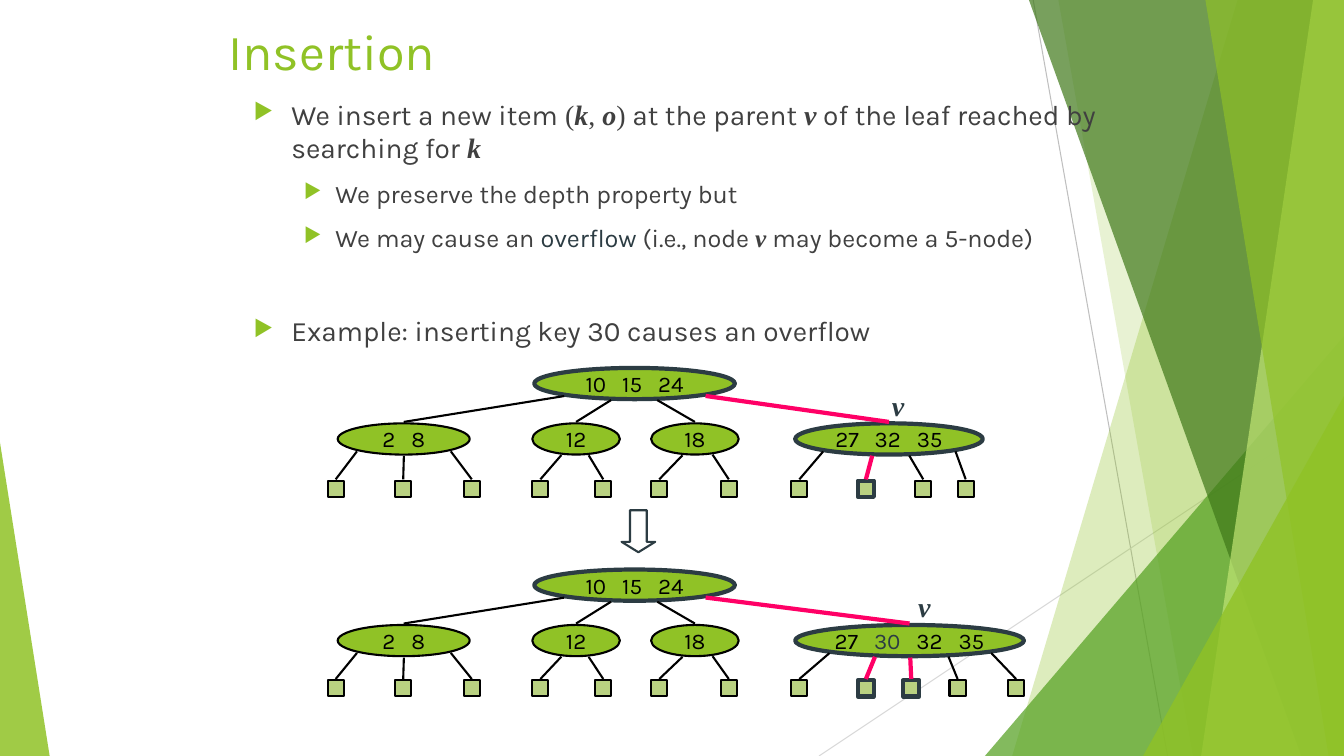
import math
import pptx
import pptx.util
import pptx.dml.color
import pptx.enum.shapes
import pptx.enum.text
import pptx.oxml.ns
import lxml.etree

Pt = pptx.util.Pt
RGB = pptx.dml.color.RGBColor
KIND = pptx.enum.shapes.MSO_SHAPE
ALIGN = pptx.enum.text.PP_ALIGN
MIDDLE = pptx.enum.text.MSO_ANCHOR.MIDDLE
qn = pptx.oxml.ns.qn

GREEN = RGB(0x90, 0xC2, 0x26)
LEAF = RGB(0xB9, 0xD1, 0x81)
MID = RGB(0x54, 0xA0, 0x21)
DEEP = RGB(0x3F, 0x78, 0x19)
LIME = RGB(0xC0, 0xE4, 0x74)
DARK = RGB(0x2C, 0x3C, 0x43)
GRAY = RGB(0x40, 0x40, 0x40)
SILVER = RGB(0xBF, 0xBF, 0xBF)
PALE = RGB(0xD9, 0xD9, 0xD9)
BLACK = RGB(0, 0, 0)
PINK = RGB(0xFF, 0x00, 0x66)

TIMES = {"font": "Times New Roman"}
MATH = {"font": "Times New Roman", "bold": True, "italic": True}


def write(para, text, size=16, color=BLACK, font="Karla", bold=False,
          italic=False, track=0):
    run = para.add_run()
    run.text = text
    face = run.font
    face.size, face.name, face.bold, face.italic = Pt(size), font, bold, italic
    face.color.rgb = color
    if track:
        run._r.get_or_add_rPr().set("spc", str(track))


def textbox(slide, box, wrap=True):
    frame = slide.shapes.add_textbox(*map(Pt, box)).text_frame
    frame.word_wrap = wrap
    return frame


def paint(shape, fill=None, line=None, width=1.5, alpha=None):
    shape.shadow.inherit = False
    if fill is None:
        shape.fill.background()
    else:
        shape.fill.solid()
        shape.fill.fore_color.rgb = fill
    if alpha:
        tint = shape._element.spPr.find(qn("a:solidFill"))[0]
        lxml.etree.SubElement(tint, qn("a:alpha"), val=str(alpha * 1000))
    if line is None:
        shape.line.fill.background()
    else:
        shape.line.color.rgb = line
        shape.line.width = Pt(width)
    return shape


def draw(slide, kind, box, **look):
    return paint(slide.shapes.add_shape(kind, *map(Pt, box)), **look)


def link(slide, start, end, color=BLACK, width=1.5):
    edge = slide.shapes.add_connector(
        pptx.enum.shapes.MSO_CONNECTOR.STRAIGHT, *map(Pt, (*start, *end)))
    edge.line.color.rgb = color
    edge.line.width = Pt(width)
    lxml.etree.SubElement(edge._element.spPr, qn("a:effectLst"))


# Backdrop: translucent bands on the right, a wedge on the left
def backdrop(slide, box):
    left, top, wide, high = box
    right, base = left + wide, top + high

    def band(head, foot, fill, alpha):
        pen = slide.shapes.build_freeform(Pt(left + head), Pt(top))
        pen.add_line_segments([(Pt(x), Pt(y)) for x, y in (
            (right, top), (right, base), (left + foot, base))], close=True)
        paint(pen.convert_to_shape(), fill=fill, alpha=alpha)

    def wedge(x, width, height, tip, fill, alpha):
        part = draw(slide, KIND.ISOSCELES_TRIANGLE,
                    (left + x, base - height, width, height),
                    fill=fill, alpha=alpha)
        part.adjustments[0] = tip

    link(slide, (left + 738, top), (left + 834, base), SILVER, 0.75)
    link(slide, (right, top + 290), (left + 585, base), PALE, 0.75)
    band(884, 723, GREEN, 30)
    band(756, 852, GREEN, 20)
    wedge(703.5, 256.5, 300, 1, MID, 72)
    band(735, 929.5, DEEP, 70)
    band(938, 858, LIME, 70)
    band(861, 949, GREEN, 65)
    wedge(816.5, 143.5, 257, 1, GREEN, 80)
    wedge(0, 35.5, 224, 0, GREEN, 85)


def title(slide, box):
    frame = textbox(slide, box)
    frame.vertical_anchor = MIDDLE
    write(frame.paragraphs[0], "Insertion", size=36, color=GREEN)


# Bulleted text: (level, space before, runs)
POINTS = [
    (0, 0, [("We insert a new item ", {}), ("(", TIMES), ("k", MATH),
            (", ", TIMES), ("o", MATH), (")", TIMES),
            (" at the parent ", {}), ("v", MATH),
            (" of the leaf reached by searching for ", {}), ("k", MATH)]),
    (1, 10, [("We preserve the depth property but", {})]),
    (1, 10, [("We may cause an ", {}), ("overflow", {"color": DARK}),
             (" (i.e., node ", {}), ("v", MATH),
             (" may become a 5-node)", {})]),
    (0, 43.5, [("Example: inserting key 30 causes an overflow", {})]),
]


def bullets(slide, box):
    frame = textbox(slide, box)
    for i, (level, gap, runs) in enumerate(POINTS):
        para = frame.add_paragraph() if i else frame.paragraphs[0]
        para.level = level
        margin, hang, size = ((27, 27, 20), (58.5, 22.5, 18))[level]
        props = para._p.get_or_add_pPr()
        props.set("marL", str(Pt(margin)))
        props.set("indent", str(-Pt(hang)))
        tint = lxml.etree.SubElement(props, qn("a:buClr"))
        lxml.etree.SubElement(tint, qn("a:srgbClr"), val=str(GREEN))
        lxml.etree.SubElement(props, qn("a:buSzPct"), val="80000")
        lxml.etree.SubElement(props, qn("a:buChar"), char="▶")
        para.space_before = Pt(gap)
        for text, style in runs:
            write(para, text, **{"size": size, "color": GRAY, **style})


# Search tree: node = (left, width, keys, exit from root, leaves),
# leaf = (centre, exit from node, on the insertion spot)
SIDE, TALL = 11.5, 22.3
ROOT = (147.6, 143.3, "10 15 24")
SHARED = [
    (7.2, 94.3, "2 8", 169,
     [(5.8, 21, False), (54, 54.5, False), (103, 88, False)]),
    (146.2, 62.6, "12", 202.5, [(152, 167, False), (196.9, 186.5, False)]),
    (231.1, 62.6, "18", 235.5, [(236.9, 253.5, False), (286.6, 275, False)]),
]
BEFORE = (334, 134, "27 32 35", 270,
          [(337, 354, False), (384.5, 389, True), (425.5, 415.5, False),
           (455.8, 448.5, False)])
AFTER = (334, 163.4, "27 30 32 35", 270,
         [(337, 358.5, False), (384.5, 391, True), (416.9, 416.2, True),
          (450, 443.5, False), (491.8, 474, False)])


def tree(slide, box, last, drop, tag):
    left, top = box[:2]

    def oval(x, y, width, keys, thick):
        shape = draw(slide, KIND.OVAL, (left + x, top + y, width, TALL),
                     fill=GREEN, line=DARK if thick else BLACK,
                     width=3 if thick else 1.5)
        frame = shape.text_frame
        frame.word_wrap = False
        frame.vertical_anchor = MIDDLE
        frame.margin_top = frame.margin_bottom = 0
        para = frame.paragraphs[0]
        para.alignment = ALIGN.CENTER
        for i, key in enumerate(keys.split()):
            if i:
                write(para, " ", track=760)
            write(para, key, color=DARK if key == "30" else BLACK)

    def rim(x, y, width, spot):
        slant = (spot - x - width / 2) / (width / 2)
        depth = TALL / 2 * (1 + math.sqrt(1 - slant ** 2))
        return left + spot, top + y + depth + 1

    def edge(start, end, hot):
        link(slide, start, end, PINK if hot else BLACK, 3 if hot else 1.5)

    oval(ROOT[0], 0, ROOT[1], ROOT[2], True)
    row = 39.6
    for node in SHARED + [last]:
        x, width, keys, leave, leaves = node
        hot = node is last
        oval(x, row, width, keys, hot)
        edge(rim(ROOT[0], 0, ROOT[1], leave),
             (left + x + width / 2, top + row - 1), hot)
        for mid, spot, mark in leaves:
            draw(slide, KIND.RECTANGLE,
                 (left + mid - SIDE / 2, top + drop, SIDE, SIDE), fill=LEAF,
                 line=DARK if mark else BLACK, width=3 if mark else 1.5)
            edge(rim(x, row, width, spot), (left + mid, top + drop - 1), mark)
    # Name of the overflowing node
    frame = textbox(slide, (left + tag - 11.5, top + 11, 23, 31), wrap=False)
    frame.paragraphs[0].alignment = ALIGN.CENTER
    write(frame.paragraphs[0], "v", size=20, color=DARK, **MATH)


def arrow(slide, box):
    shape = draw(slide, KIND.DOWN_ARROW, box, line=DARK)
    shape.adjustments[0], shape.adjustments[1] = 0.5, 0.31


def main():
    deck = pptx.Presentation()
    deck.slide_width, deck.slide_height = Pt(960), Pt(540)
    slide = deck.slides.add_slide(deck.slide_layouts[6])
    backdrop(slide, (0, 0, 960, 540))
    title(slide, (156, 6, 648, 60))
    bullets(slide, (174, 66, 630, 186))
    tree(slide, (234, 262.8, 468, 93), BEFORE, 80.6, 407.5)
    arrow(slide, (444, 364.5, 24, 30))
    tree(slide, (234, 406.8, 498, 91), AFTER, 79.2, 426.2)
    deck.save("out.pptx")


if __name__ == "__main__":
    main()
